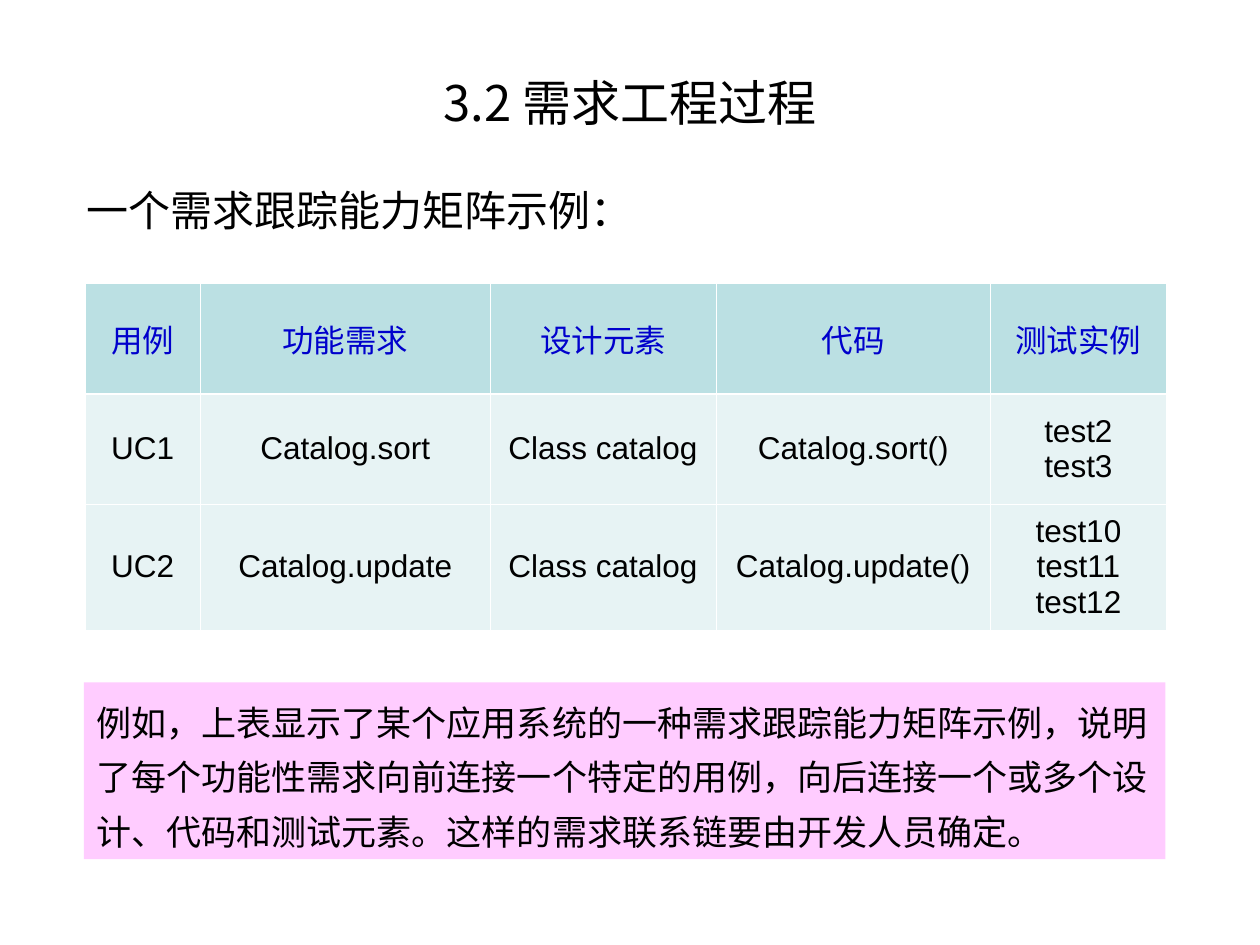
"""Build the requirements traceability matrix slide."""
from dataclasses import dataclass

import lxml.etree
import pptx
import pptx.dml.color
import pptx.enum.shapes
import pptx.enum.text
import pptx.oxml.ns
import pptx.util

Pt = pptx.util.Pt
ALIGN = pptx.enum.text.PP_ALIGN
ANCHOR = pptx.enum.text.MSO_ANCHOR
AUTO_SIZE = pptx.enum.text.MSO_AUTO_SIZE
CJK_FONT = "Noto Sans CJK SC"
BLACK = "000000"
WHITE = "FFFFFF"
THIN_RULE = 0.45
HEADER_RULE = 1.47


@dataclass
class TextStyle:
    size: float
    color: str = BLACK
    font: str = "Arial"
    align: ALIGN = ALIGN.LEFT
    line_spacing: float | None = None


@dataclass
class MatrixRow:
    height: float
    fill: str
    style: TextStyle
    top_rule: float
    bottom_rule: float
    cells: tuple[str, ...]


HEADING = TextStyle(28, font=CJK_FONT, align=ALIGN.CENTER)
INTRO = TextStyle(24)
EXPLANATION = TextStyle(20, line_spacing=1.3)
HEADER = TextStyle(18, color="0000CC", align=ALIGN.CENTER)
BODY = TextStyle(18, align=ALIGN.CENTER)

COLUMN_WIDTHS = (66, 165.6, 129, 157, 100.4)
MATRIX = (
    MatrixRow(63, "BBE0E3", HEADER, THIN_RULE, HEADER_RULE,
              ("用例", "功能需求", "设计元素", "代码", "测试实例")),
    MatrixRow(63, "E7F3F4", BODY, HEADER_RULE, THIN_RULE,
              ("UC1", "Catalog.sort", "Class catalog", "Catalog.sort()", "test2\ntest3")),
    MatrixRow(72, "E7F3F4", BODY, THIN_RULE, THIN_RULE,
              ("UC2", "Catalog.update", "Class catalog", "Catalog.update()",
               "test10\ntest11\ntest12")),
)


def rgb(value: str) -> pptx.dml.color.RGBColor:
    return pptx.dml.color.RGBColor.from_string(value)


def write(frame, text: str, style: TextStyle) -> None:
    for index, line in enumerate(text.split("\n")):
        paragraph = frame.add_paragraph() if index else frame.paragraphs[0]
        paragraph.alignment = style.align
        if style.line_spacing:
            paragraph.line_spacing = style.line_spacing
        run = paragraph.add_run()
        run.text = line
        run.font.size = Pt(style.size)
        run.font.color.rgb = rgb(style.color)
        run.font.name = style.font
        east_asian = lxml.etree.SubElement(run.font._element, pptx.oxml.ns.qn("a:ea"))
        east_asian.set("typeface", CJK_FONT)


def set_borders(cell, top: float, bottom: float) -> None:
    properties = cell._tc.get_or_add_tcPr()
    widths = {"a:lnL": THIN_RULE, "a:lnR": THIN_RULE, "a:lnT": top, "a:lnB": bottom}
    for position, (side, width) in enumerate(widths.items()):
        border = lxml.etree.Element(pptx.oxml.ns.qn(side), w=str(Pt(width)))
        fill = lxml.etree.SubElement(border, pptx.oxml.ns.qn("a:solidFill"))
        lxml.etree.SubElement(fill, pptx.oxml.ns.qn("a:srgbClr"), val=WHITE)
        properties.insert(position, border)


def add_heading(slide, text: str) -> None:
    heading = slide.shapes.title
    heading.left, heading.top = Pt(36), Pt(30)
    heading.width, heading.height = Pt(648), Pt(56)
    heading.text_frame.vertical_anchor = ANCHOR.MIDDLE
    write(heading.text_frame, text, HEADING)


def add_intro(slide, text: str) -> None:
    intro = slide.shapes.add_textbox(Pt(42.5), Pt(102), Pt(326), Pt(36))
    intro.text_frame.word_wrap = False
    intro.text_frame.auto_size = AUTO_SIZE.SHAPE_TO_FIT_TEXT
    write(intro.text_frame, text, INTRO)


def add_matrix(slide, rows: tuple[MatrixRow, ...]) -> None:
    matrix = slide.shapes.add_table(
        len(rows), len(COLUMN_WIDTHS), Pt(48.5), Pt(162),
        Pt(sum(COLUMN_WIDTHS)), Pt(sum(row.height for row in rows))).table
    for column, width in zip(matrix.columns, COLUMN_WIDTHS):
        column.width = Pt(width)
    for table_row, row in zip(matrix.rows, rows):
        table_row.height = Pt(row.height)
        for cell, text in zip(table_row.cells, row.cells):
            cell.fill.solid()
            cell.fill.fore_color.rgb = rgb(row.fill)
            cell.vertical_anchor = ANCHOR.MIDDLE
            cell.margin_left = cell.margin_right = Pt(0.7)
            cell.margin_top = cell.margin_bottom = Pt(3.6)
            set_borders(cell, row.top_rule, row.bottom_rule)
            write(cell.text_frame, text, row.style)


def add_explanation(slide, text: str) -> None:
    explanation = slide.shapes.add_shape(
        pptx.enum.shapes.MSO_SHAPE.RECTANGLE, Pt(48), Pt(390), Pt(618), Pt(101))
    explanation.shadow.inherit = False
    explanation.fill.solid()
    explanation.fill.fore_color.rgb = rgb("FFCCFF")
    explanation.line.fill.background()
    explanation.text_frame.word_wrap = True
    explanation.text_frame.auto_size = AUTO_SIZE.SHAPE_TO_FIT_TEXT
    explanation.text_frame.vertical_anchor = ANCHOR.TOP
    write(explanation.text_frame, text, EXPLANATION)


def main() -> None:
    presentation = pptx.Presentation()
    presentation.slide_width, presentation.slide_height = Pt(720), Pt(540)
    slide = presentation.slides.add_slide(presentation.slide_layouts.get_by_name("Title Only"))
    add_explanation(slide, "例如，上表显示了某个应用系统的一种需求跟踪能力矩阵示例，"
                           "说明了每个功能性需求向前连接一个特定的用例，"
                           "向后连接一个或多个设计、代码和测试元素。"
                           "这样的需求联系链要由开发人员确定。")
    add_matrix(slide, MATRIX)
    add_heading(slide, "3.2 需求工程过程")
    add_intro(slide, "一个需求跟踪能力矩阵示例：")
    presentation.save("out.pptx")


if __name__ == "__main__":
    main()
